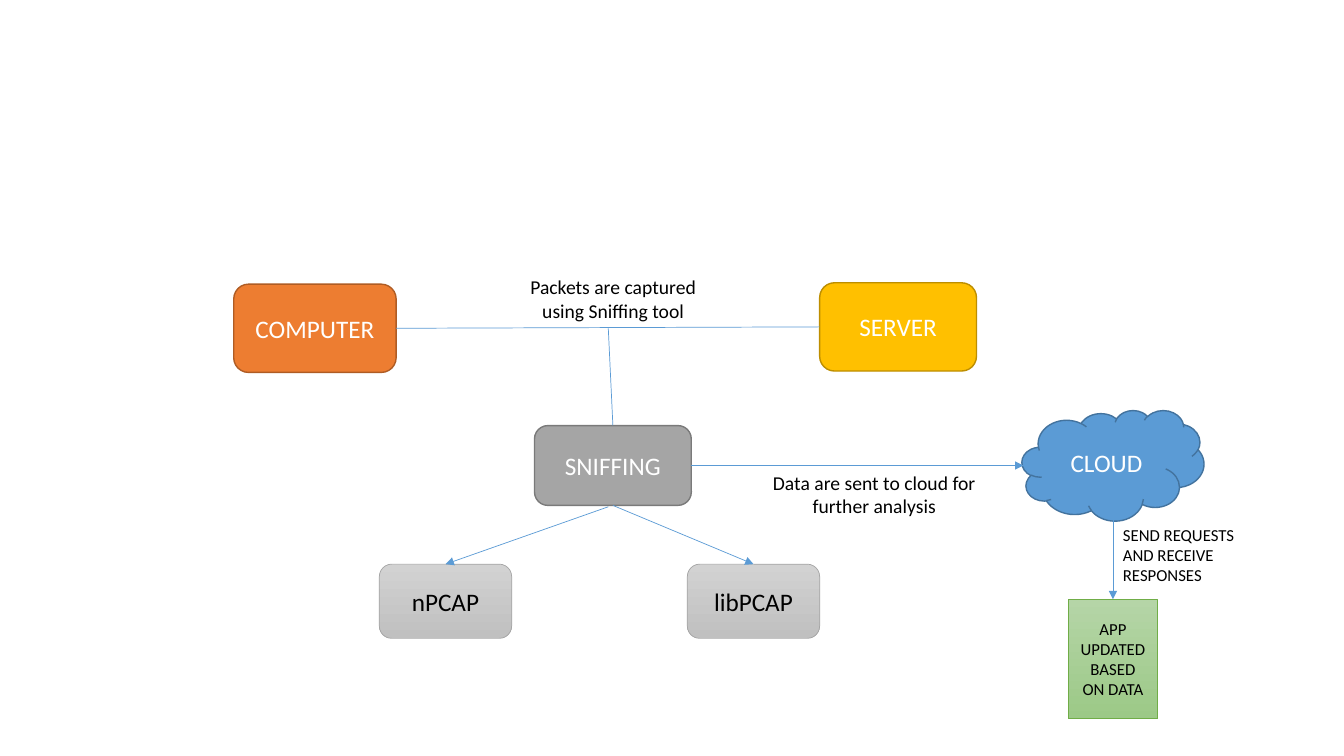
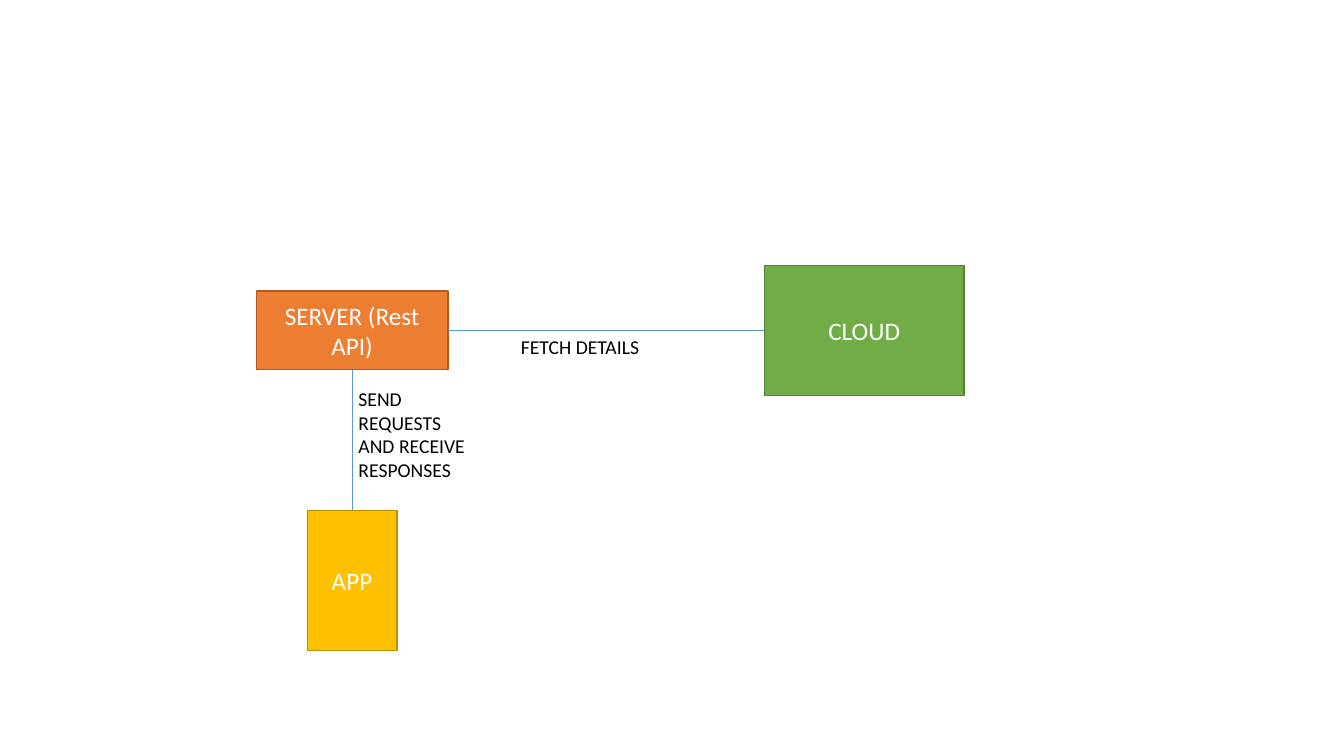
"""Builds two diagrams of a packet sniffing system."""
from lxml import etree
from pptx import Presentation
from pptx.dml.color import RGBColor
from pptx.enum import shapes, text
from pptx.oxml import ns
from pptx.util import Pt

FONT = "Calibri"
WHITE, BLACK = "FFFFFF", "000000"
BLUE = ("5B9BD5", "43739E")
ORANGE = ("ED7D31", "AF5C24")
GOLD = ("FFC000", "BD8E00")
GRAY = ("A5A5A5", "7A7A7A")
GREEN = ("70AD47", "538035")
PALE_GRAY = ("D2D2D2", "C0C0C0", "A5A5A5")
PALE_GREEN = ("B5D5A7", "9CC987", "70AD47")
RECT = shapes.MSO_SHAPE.RECTANGLE
ROUND = shapes.MSO_SHAPE.ROUNDED_RECTANGLE
CLOUD = shapes.MSO_SHAPE.CLOUD
TOP, LEFT, BOTTOM, RIGHT = range(4)
CENTER, START = text.PP_ALIGN.CENTER, text.PP_ALIGN.LEFT


def rgb(color):
    """Turn a hex string into a colour."""
    return RGBColor.from_string(color)


def write(shape, words, size, color, align):
    """Put one formatted paragraph into a shape."""
    shape.text_frame.word_wrap = True
    para = shape.text_frame.paragraphs[0]
    para.text = words
    para.alignment = align
    para.font.name = FONT
    para.font.size = Pt(size)
    para.font.color.rgb = rgb(color)


def add_shape(page, kind, bounds, line_color, line_width):
    """Add an outlined shape with centred content and no shadow."""
    shape = page.shapes.add_shape(kind, *map(Pt, bounds))
    shape.shadow.inherit = False
    shape.line.color.rgb = rgb(line_color)
    shape.line.width = Pt(line_width)
    shape.text_frame.vertical_anchor = text.MSO_ANCHOR.MIDDLE
    return shape


def add_node(page, kind, words, bounds, colors):
    """Add a solid node with a white label."""
    fill, line = colors
    node = add_shape(page, kind, bounds, line, 1)
    node.fill.solid()
    node.fill.fore_color.rgb = rgb(fill)
    write(node, words, 18, WHITE, CENTER)
    return node


def add_pale_node(page, kind, words, bounds, colors, size=18):
    """Add a node shaded from top to bottom with a black label."""
    *shades, line = colors
    node = add_shape(page, kind, bounds, line, 0.5)
    node.fill.gradient()
    node.fill.gradient_angle = 270
    for stop, shade, position in zip(node.fill.gradient_stops, shades, (0, 1)):
        stop.color.rgb = rgb(shade)
        stop.position = position
    write(node, words, size, BLACK, CENTER)
    return node


def add_label(page, words, bounds, size=14, align=START):
    """Add a wrapped black caption."""
    label = page.shapes.add_textbox(*map(Pt, bounds))
    label.text_frame.auto_size = text.MSO_AUTO_SIZE.SHAPE_TO_FIT_TEXT
    write(label, words, size, BLACK, align)


def add_link(page, begin, end, arrow=False):
    """Join two ends, each a point or a shape with its side."""
    link = page.shapes.add_connector(shapes.MSO_CONNECTOR.STRAIGHT, 0, 0, 0, 0)
    if isinstance(begin[0], (int, float)):
        link.begin_x, link.begin_y = map(Pt, begin)
    else:
        link.begin_connect(*begin)
    if isinstance(end[0], (int, float)):
        link.end_x, link.end_y = map(Pt, end)
    else:
        link.end_connect(*end)
    link.line.color.rgb = rgb(BLUE[0])
    link.line.width = Pt(0.5)
    if arrow:
        outline = link.line._get_or_add_ln()
        etree.SubElement(outline, ns.qn("a:tailEnd"), type="triangle")
    etree.SubElement(link._element.spPr, ns.qn("a:effectLst"))


def build_capture(page):
    """Draw how packets are captured, analysed and reported."""
    computer = add_node(page, ROUND, "COMPUTER", (167, 203, 116, 63), ORANGE)
    server = add_node(page, ROUND, "SERVER", (585.5, 202, 112, 63), GOLD)
    sniffing = add_node(page, ROUND, "SNIFFING", (381.8, 304, 112, 57), GRAY)
    npcap, libpcap = [
        add_pale_node(page, ROUND, words, (left, 403, 94.5, 53), PALE_GRAY)
        for words, left in (("nPCAP", 271), ("libPCAP", 491))]
    add_node(page, CLOUD, "CLOUD", (730, 293, 130, 79), BLUE)
    app = add_pale_node(page, RECT, "APP UPDATED BASED ON DATA",
                        (763, 428, 64, 85.5), PALE_GREEN, 12)

    add_link(page, (computer, RIGHT), (server, LEFT))
    add_link(page, (434.5, 234.5), (sniffing, TOP))
    add_link(page, (434.5, 362), (npcap, TOP), arrow=True)
    add_link(page, (sniffing, BOTTOM), (libpcap, TOP), arrow=True)
    add_link(page, (sniffing, RIGHT), (731, 332.5), arrow=True)
    add_link(page, (795, 371.5), (app, TOP), arrow=True)

    add_label(page, "Packets are captured using Sniffing tool",
              (368, 193, 140, 41), align=CENTER)
    add_label(page, "Data are sent to cloud for further analysis",
              (543, 332.5, 163, 41), align=CENTER)
    add_label(page, "SEND REQUESTS AND RECEIVE RESPONSES",
              (795, 371, 97, 51), size=12)


def build_service(page):
    """Draw how the app reaches the cloud through the server."""
    server = add_node(page, RECT, "SERVER (Rest API)", (183, 208, 137, 56), ORANGE)
    app = add_node(page, RECT, "APP", (219.5, 364.5, 64, 100), GOLD)
    cloud = add_node(page, RECT, "CLOUD", (546, 189.5, 142.5, 93), GREEN)

    add_link(page, (server, RIGHT), (cloud, LEFT))
    add_link(page, (app, TOP), (server, BOTTOM))

    add_label(page, "FETCH DETAILS", (365, 235.5, 144, 24))
    add_label(page, "SEND REQUESTS AND RECEIVE RESPONSES", (249, 273, 97, 75))


def main():
    """Build and save the deck."""
    deck = Presentation()
    deck.slide_width, deck.slide_height = Pt(960), Pt(540)
    for build in (build_capture, build_service):
        build(deck.slides.add_slide(deck.slide_layouts[6]))
    deck.save("out.pptx")


main()
